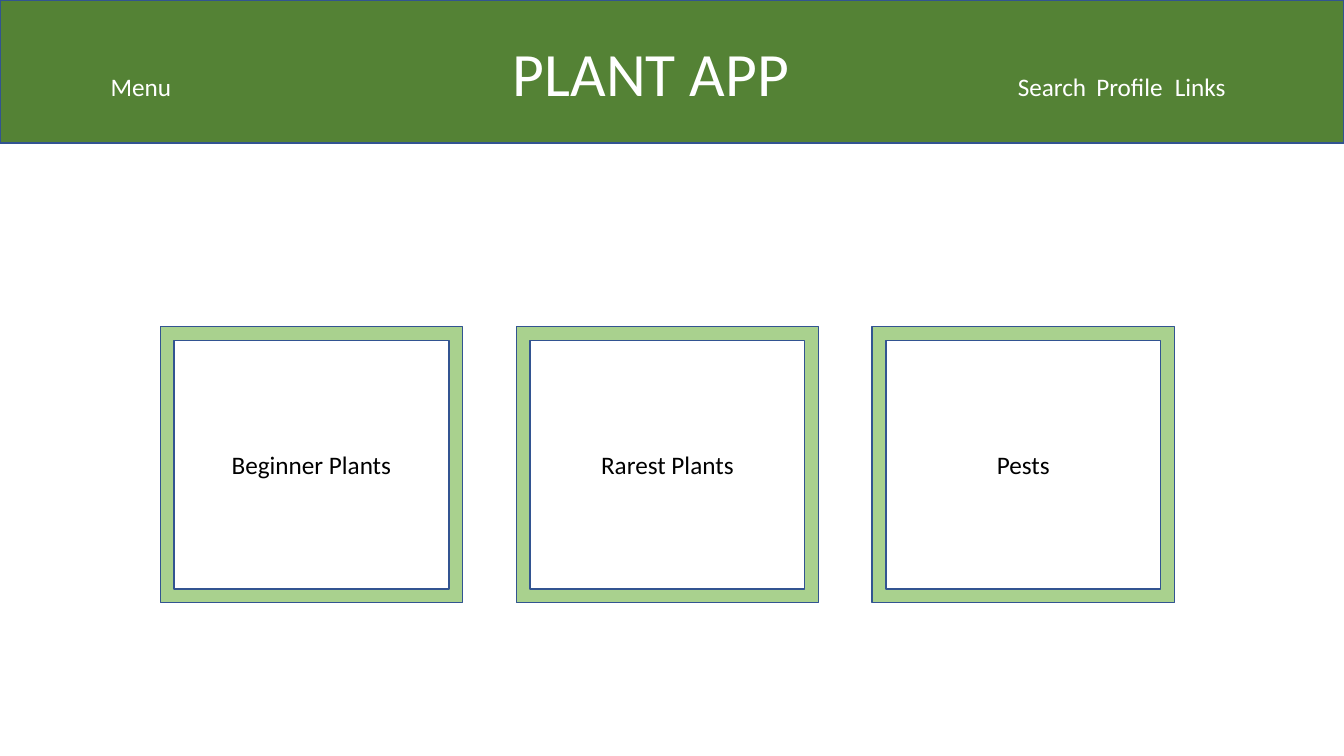
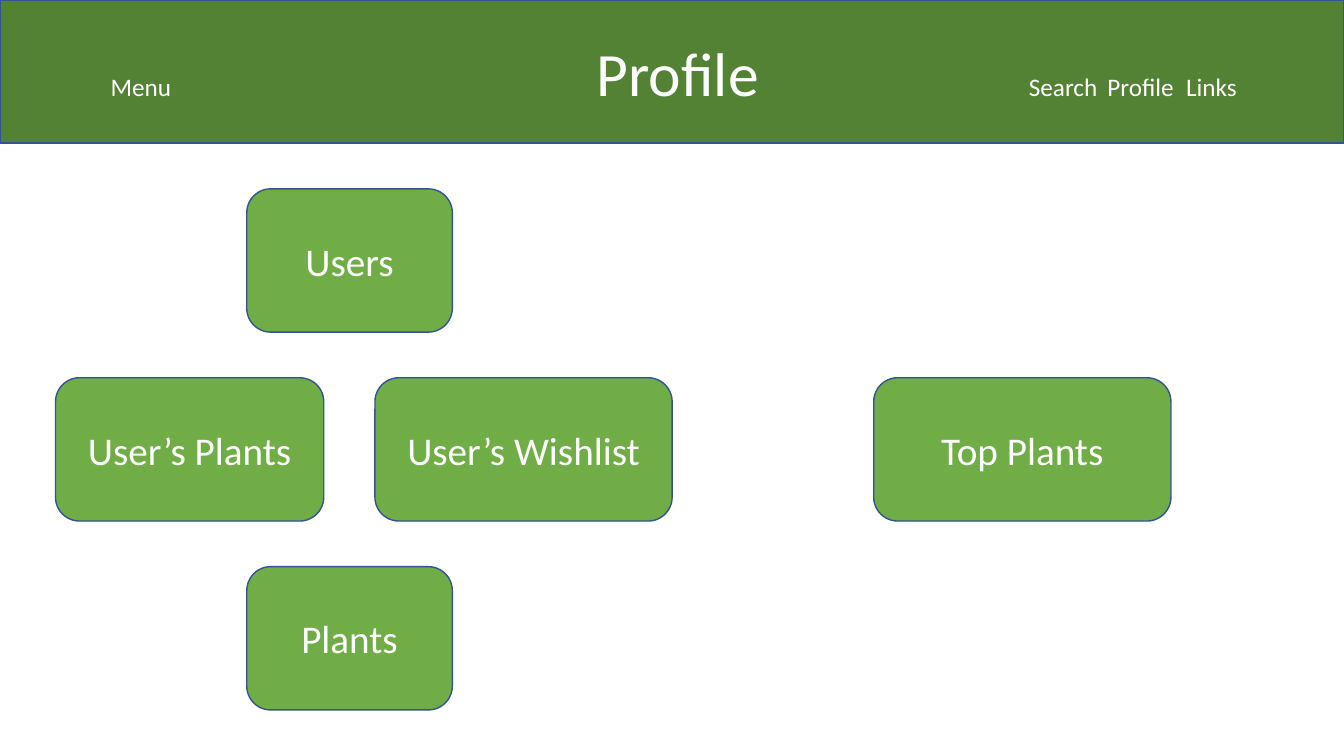
from pptx import Presentation
from pptx.dml.color import RGBColor as RGB
from pptx.enum.shapes import MSO_SHAPE as Form
from pptx.enum.text import MSO_ANCHOR as Anchor, MSO_AUTO_SIZE as Fit, PP_ALIGN as Align
from pptx.util import Cm, Pt

COLORS = {"band": "548235", "frame": "A9D18E", "box": "70AD47",
          "line": "325491", "white": "FFFFFF", "black": "000000"}
FONT = "Calibri"
WIDE, BAND = 33.87, 3.61

deck = Presentation()
deck.slide_width, deck.slide_height = Cm(WIDE), Cm(19.05)


def write(shape, text, size, color="white", align=Align.CENTER):
    frame = shape.text_frame
    frame.text = text
    frame.word_wrap = True
    frame.auto_size = Fit.NONE
    frame.vertical_anchor = Anchor.MIDDLE
    para = frame.paragraphs[0]
    para.alignment = align
    para.font.name, para.font.size = FONT, Pt(size)
    para.font.color.rgb = RGB.from_string(COLORS[color])


def draw(slide, form, left, top, width, height, fill):
    shape = slide.shapes.add_shape(form, Cm(left), Cm(top), Cm(width), Cm(height))
    shape.shadow.inherit = False
    shape.fill.solid()
    shape.fill.fore_color.rgb = RGB.from_string(COLORS[fill])
    shape.line.color.rgb = RGB.from_string(COLORS["line"])
    shape.line.width = Pt(1)
    return shape


# Shared header: band, title, menu and links
slides = []
for name, center, start in [("PLANT APP", 16.41, 25.65), ("Profile", 17.08, 25.93)]:
    slide = deck.slides.add_slide(deck.slide_layouts[5])
    slides.append(slide)
    band = draw(slide, Form.RECTANGLE, 0, 0, WIDE, BAND, "band")
    slide.shapes._spTree.insert(2, band._element)  # behind the title

    title = slide.shapes.title
    title.left, title.top = Cm(center - 5), Cm(0)
    title.width, title.height = Cm(10), Cm(BAND)
    write(title, name, 44)

    links = [(start + 1.98 * i, word) for i, word in enumerate(["Search", "Profile", "Links"])]
    for left, word in [(2.79, "Menu")] + links:
        link = slide.shapes.add_textbox(Cm(left), Cm(1.55), Cm(1.9), Cm(1.25))
        write(link, word, 18, align=Align.LEFT)
        link.text_frame.margin_left = link.text_frame.margin_right = 0

home, profile = slides

# Home: three framed cards
for i, word in enumerate(["Beginner Plants", "Rarest Plants", "Pests"]):
    card = draw(home, Form.FRAME, 4.04 + 8.97 * i, 8.23, 7.62, 6.96, "frame")
    card.adjustments[0] = 0.05
    write(card, word, 18, "black")

# Profile: rounded boxes in three rows
ROW = 4.76
for word, row, left, width in [
    ("Users", 1, 6.22, 5.18),
    ("User’s Plants", 2, 1.4, 6.76),
    ("User’s Wishlist", 2, 9.45, 7.49),
    ("Top Plants", 2, 22.02, 7.49),
    ("Plants", 3, 6.22, 5.18),
]:
    box = draw(profile, Form.ROUNDED_RECTANGLE, left, ROW * row, width, BAND, "box")
    write(box, word, 28)

deck.save("out.pptx")
